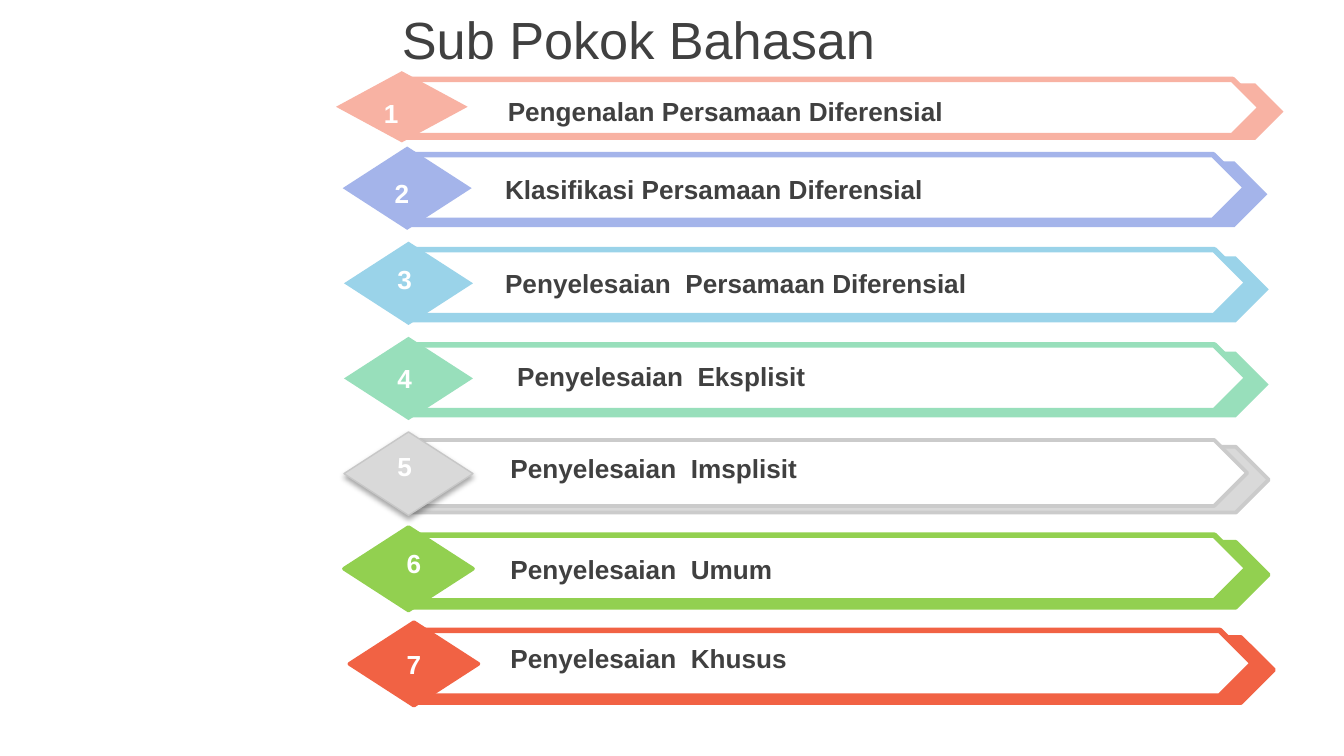
import pptx
import pptx.util
import pptx.dml.color
import pptx.enum.shapes
import pptx.enum.text
import pptx.oxml
import pptx.oxml.ns
from dataclasses import dataclass

Inches, Pt = pptx.util.Inches, pptx.util.Pt
RGB = pptx.dml.color.RGBColor.from_string
SHAPE = pptx.enum.shapes.MSO_SHAPE
ALIGN = pptx.enum.text.PP_ALIGN
ANCHOR = pptx.enum.text.MSO_ANCHOR
FIT = pptx.enum.text.MSO_AUTO_SIZE


@dataclass
class Theme:
    font: str = "Arial"
    title_size: float = 28
    item_size: float = 14
    dark: str = "404040"
    white: str = "FFFFFF"
    salmon: str = "F8B2A3"
    violet: str = "A4B4EA"
    sky: str = "9AD3E9"
    mint: str = "98DFBB"
    grey: str = "D9D9D9"
    grey_edge: str = "CBCBCB"
    grey_rim: str = "C7C7C7"
    green: str = "92D050"
    red: str = "F16244"


theme = Theme()
prs = pptx.Presentation()
prs.slide_width, prs.slide_height = Inches(10), Inches(10 * 9 / 16)
s = prs.slides.add_slide(prs.slide_layouts[5])


def add_outline(kind, box, fill, line=None, width=0):
    sp = s.shapes.add_shape(kind, *map(Inches, box))
    sp.shadow.inherit = False
    sp.fill.solid()
    sp.fill.fore_color.rgb = RGB(fill)
    if line:
        sp.line.color.rgb = RGB(line)
        sp.line.width = Pt(width)
    else:
        sp.line.fill.background()
    return sp


def set_text(sp, text, color, size, bold, align, frame):
    tf = sp.text_frame
    for name, value in frame.items():
        setattr(tf, name, value)
    p = tf.paragraphs[0]
    p.alignment = align
    r = p.add_run()
    r.text = text
    for name, value in dict(name=theme.font, size=Pt(size), bold=bold).items():
        setattr(r.font, name, value)
    r.font.color.rgb = RGB(color)


title = s.shapes.title
for name, value in dict(left=-0.06, top=0.09, width=9.62, height=0.39).items():
    setattr(title, name, Inches(value))
set_text(title, "Sub Pokok Bahasan", theme.dark, theme.title_size, False, ALIGN.CENTER,
         dict(word_wrap=True, auto_size=FIT.NONE, vertical_anchor=ANCHOR.MIDDLE))

# label, diamond left, number (left, top), label (left, top),
# fill, edge, back edge width, front edge width, diamond edge, diamond edge width
items = [
    ("Pengenalan Persamaan Diferensial", 2.5, (2.7, 0.67), (3.68, 0.66),
     theme.salmon, theme.salmon, 0, 3, None, 0),
    ("Klasifikasi Persamaan Diferensial", 2.55, (2.78, 1.27), (3.66, 1.24),
     theme.violet, theme.violet, 0, 3, None, 0),
    ("Penyelesaian  Persamaan Diferensial", 2.56, (2.8, 1.91), (3.66, 1.94),
     theme.sky, theme.sky, 0, 3, None, 0),
    ("Penyelesaian  Eksplisit", 2.56, (2.8, 2.64), (3.75, 2.63),
     theme.mint, theme.mint, 0, 3, None, 0),
    ("Penyelesaian  Imsplisit", 2.56, (2.8, 3.3), (3.7, 3.32),
     theme.grey, theme.grey_edge, 2, 2, theme.grey_rim, 0.75),
    ("Penyelesaian  Umum", 2.56, (2.87, 4.02), (3.7, 4.07),
     theme.green, theme.green, 2, 3, theme.green, 2),
    ("Penyelesaian  Khusus", 2.6, (2.87, 4.77), (3.7, 4.73),
     theme.red, theme.red, 2, 3, theme.red, 2),
]
second_top, last_top = 1.09, 4.63
pitch = (last_top - second_top) / (len(items) - 2)
front_dy = 0.06
diamonds = []

for i, (label, left, number_at, label_at, fill, edge, back_w, front_w, rim, rim_w) in enumerate(items):
    if i == 0:  # the first banner is flatter and longer
        top, diamond_w, diamond_h, plate_h = 0.53, 0.98, 0.53, 0.42
        plate_left, back_dy, back_len, front_len = left + 0.52, 0.09, 6.53, 6.36
    else:
        top, diamond_w, diamond_h, plate_h = second_top + (i - 1) * pitch, 0.96, 0.62, 0.49
        plate_left, back_dy, back_len, front_len = left + 0.5, 0.11, 6.38, 6.22
    add_outline(SHAPE.PENTAGON, (plate_left, top + back_dy, back_len, plate_h),
                fill, edge if back_w else None, back_w)
    add_outline(SHAPE.PENTAGON, (plate_left, top + front_dy, front_len, plate_h),
                theme.white, edge, front_w)
    diamonds.append(add_outline(SHAPE.DIAMOND, (left, top, diamond_w, diamond_h), fill, rim, rim_w))

    frame = dict(word_wrap=True, auto_size=FIT.SHAPE_TO_FIT_TEXT)
    number = s.shapes.add_textbox(*map(Inches, (*number_at, 0.42, 0.34)))
    set_text(number, str(i + 1), theme.white, theme.item_size, True, ALIGN.CENTER,
             dict(frame, vertical_anchor=ANCHOR.MIDDLE))
    caption = s.shapes.add_textbox(*map(Inches, (*label_at, 5, 0.34)))
    set_text(caption, label, theme.dark, theme.item_size, True, ALIGN.LEFT, frame)

# Soft shadow under the grey diamond
effects = diamonds[4]._element.spPr.find(pptx.oxml.ns.qn("a:effectLst"))
effects.append(pptx.oxml.parse_xml(
    f'<a:outerShdw {pptx.oxml.ns.nsdecls("a")} blurRad="{Pt(3.1)}" dist="{Pt(1.8)}" '
    'dir="5400000" rotWithShape="0"><a:srgbClr val="000000"><a:alpha val="35000"/>'
    '</a:srgbClr></a:outerShdw>'))

prs.save("out.pptx")
